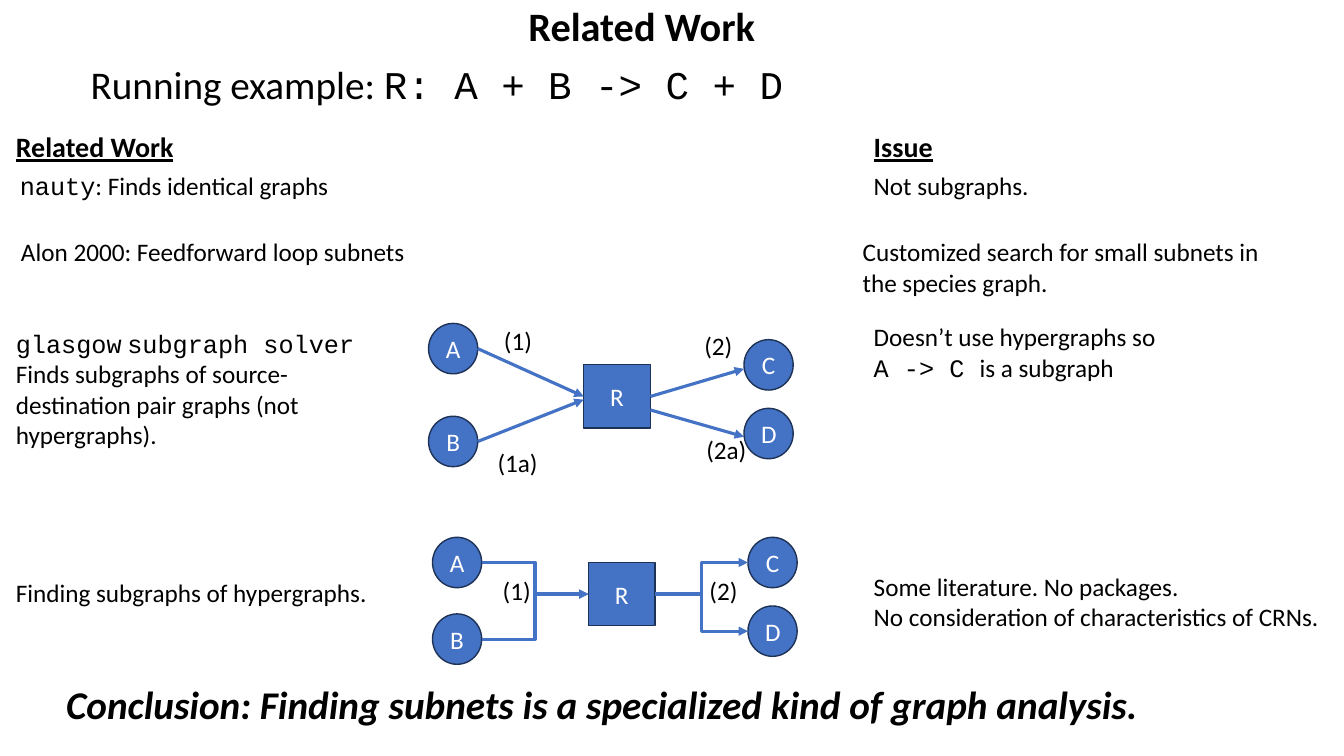
"""Build the Related Work slide on finding subnets in reaction networks."""
from dataclasses import dataclass

import lxml.etree
import pptx
import pptx.dml.color
import pptx.enum.shapes
import pptx.enum.text
import pptx.oxml.ns
import pptx.shapes.autoshape
import pptx.shapes.shapetree
import pptx.slide
import pptx.text.text
import pptx.util

Cm = pptx.util.Cm
Pt = pptx.util.Pt
qn = pptx.oxml.ns.qn
MSO_SHAPE = pptx.enum.shapes.MSO_SHAPE
MSO_CONNECTOR = pptx.enum.shapes.MSO_CONNECTOR
MSO_ANCHOR = pptx.enum.text.MSO_ANCHOR
MSO_AUTO_SIZE = pptx.enum.text.MSO_AUTO_SIZE
PP_ALIGN = pptx.enum.text.PP_ALIGN
Shape = pptx.shapes.autoshape.Shape
GroupShapes = pptx.shapes.shapetree.GroupShapes
SlideShapes = pptx.shapes.shapetree.SlideShapes

BLACK = pptx.dml.color.RGBColor(0x00, 0x00, 0x00)
WHITE = pptx.dml.color.RGBColor(0xFF, 0xFF, 0xFF)
BLUE = pptx.dml.color.RGBColor(0x44, 0x72, 0xC4)
NAVY = pptx.dml.color.RGBColor(0x1E, 0x32, 0x56)
SANS = "Calibri"
MONO = "Courier New"
CIRCLE_SIZE = (1.24, 1.27)
REACTION_SIZE = (1.68, 1.6)


@dataclass(frozen=True)
class Span:
    text: str
    font: str = SANS


@dataclass(frozen=True)
class Style:
    size: float = 18
    color: pptx.dml.color.RGBColor = BLACK
    bold: bool = False
    italic: bool = False
    underline: bool = False


@dataclass(frozen=True)
class Note:
    left: float
    top: float
    width: float
    height: float
    lines: list[list[Span]]
    style: Style = Style()
    wrap: bool = True


@dataclass(frozen=True)
class Node:
    name: str
    left: float
    top: float

    @property
    def is_reaction(self) -> bool:
        return self.name == "R"

    @property
    def size(self) -> tuple[float, float]:
        return REACTION_SIZE if self.is_reaction else CIRCLE_SIZE

    @property
    def right(self) -> float:
        return self.left + self.size[0]

    @property
    def middle(self) -> float:
        return self.top + self.size[1] / 2


@dataclass(frozen=True)
class Link:
    source: str
    target: str
    begin_shift: float = 0
    end_shift: float = 0


@dataclass(frozen=True)
class Diagram:
    connector: MSO_CONNECTOR
    nodes: list[Node]
    links: list[Link]
    labels: list[Note]


HEADING = Style(20, bold=True, underline=True)
CONCLUSION = Style(28, bold=True, italic=True)


def label(text: str, left: float, top: float, width: float = 1.22) -> Note:
    return Note(left, top, width, 1.02, [[Span(text)]], wrap=False)


NOTES = [
    Note(0.15, 3.15, 4.52, 1.12, [[Span("Related Work")]], HEADING, False),
    Note(21.77, 3.15, 2.01, 1.12, [[Span("Issue")]], HEADING, False),
    Note(0.25, 4.17, 8.38, 1.02,
         [[Span("nauty", MONO), Span(": Finds identical graphs")]], wrap=False),
    Note(21.77, 4.17, 8.46, 1.02, [[Span("Not subgraphs.")]]),
    label("Alon 2000: Feedforward loop subnets", 0.28, 5.84, 10.29),
    Note(21.49, 5.84, 11.33, 1.8,
         [[Span("Customized search for small subnets in the species graph.")]]),
    Note(0.15, 8.15, 9.22, 3.33,
         [[Span("glasgow", MONO), Span(" "), Span("subgraph solver", MONO)],
          [Span("Finds subgraphs of source-destination pair graphs (not hypergraphs).")]]),
    Note(21.77, 7.98, 8.99, 1.8,
         [[Span("Doesn’t use hypergraphs so")],
          [Span("A -> C ", MONO), Span("is a subgraph")]]),
    label("Finding subgraphs of hypergraphs.", 0.15, 14.43, 9.45),
    Note(21.77, 14.27, 11.96, 1.8,
         [[Span("Some literature. No packages.")],
          [Span("No consideration of characteristics of CRNs.")]]),
    Note(1.42, 17.02, 30.12, 1.45,
         [[Span("Conclusion: Finding subnets is a specialized kind of graph analysis.")]],
         CONCLUSION),
]

DIAGRAMS = [
    Diagram(
        MSO_CONNECTOR.STRAIGHT,
        [Node("A", 10.8, 8.15), Node("B", 10.8, 10.49), Node("C", 18.75, 8.56),
         Node("D", 18.75, 10.29), Node("R", 14.71, 9.19)],
        [Link("A", "R"), Link("B", "R", end_shift=0.08),
         Link("R", "C", end_shift=0.1), Link("R", "D", 0.34, 0.08)],
        [label("(1)", 12.45, 8.08), label("(2)", 17.5, 8.2),
         label("(1a)", 12.29, 11.15, 1.55), label("(2a)", 17.55, 10.82, 1.55)]),
    Diagram(
        MSO_CONNECTOR.ELBOW,
        [Node("A", 10.9, 13.54), Node("B", 10.9, 15.47), Node("C", 18.85, 13.54),
         Node("D", 18.85, 15.27), Node("R", 14.83, 14.17)],
        [Link("A", "R"), Link("B", "R"), Link("R", "C"), Link("R", "D")],
        [label("(1)", 12.42, 14.38), label("(2)", 17.63, 14.38)]),
]


def write_spans(paragraph: pptx.text.text._Paragraph, spans: list[Span], style: Style) -> None:
    for span in spans:
        run = paragraph.add_run()
        run.text = span.text
        run.font.name = span.font
        run.font.size = Pt(style.size)
        run.font.color.rgb = style.color
        run.font.bold = style.bold
        run.font.italic = style.italic
        run.font.underline = style.underline


def add_note(shapes: GroupShapes | SlideShapes, note: Note) -> None:
    box = shapes.add_textbox(Cm(note.left), Cm(note.top), Cm(note.width), Cm(note.height))
    frame = box.text_frame
    frame.word_wrap = note.wrap
    frame.auto_size = MSO_AUTO_SIZE.SHAPE_TO_FIT_TEXT
    for index, spans in enumerate(note.lines):
        paragraph = frame.add_paragraph() if index else frame.paragraphs[0]
        write_spans(paragraph, spans, note.style)


def add_node(shapes: GroupShapes, node: Node) -> Shape:
    kind = MSO_SHAPE.RECTANGLE if node.is_reaction else MSO_SHAPE.OVAL
    shape = shapes.add_shape(kind, Cm(node.left), Cm(node.top), *map(Cm, node.size))
    shape.shadow.inherit = False
    shape.fill.solid()
    shape.fill.fore_color.rgb = BLUE
    shape.line.color.rgb = NAVY
    shape.line.width = Pt(1)
    shape.text_frame.vertical_anchor = MSO_ANCHOR.MIDDLE
    paragraph = shape.text_frame.paragraphs[0]
    paragraph.alignment = PP_ALIGN.CENTER
    write_spans(paragraph, [Span(node.name)], Style(color=WHITE))
    return shape


def add_diagram(slide: pptx.slide.Slide, diagram: Diagram) -> None:
    shapes = slide.shapes.add_group_shape().shapes
    nodes = {node.name: node for node in diagram.nodes}
    drawn = {node.name: add_node(shapes, node) for node in diagram.nodes}
    for link in diagram.links:
        source, target = nodes[link.source], nodes[link.target]
        connector = shapes.add_connector(
            diagram.connector, Cm(source.right), Cm(source.middle + link.begin_shift),
            Cm(target.left), Cm(target.middle + link.end_shift))
        if source.is_reaction and not link.begin_shift:
            connector.begin_connect(drawn[source.name], 3)
        if target.is_reaction and not link.end_shift:
            connector.end_connect(drawn[target.name], 1)
        connector.line.color.rgb = BLUE
        connector.line.width = Pt(2.25)
        line = connector.line._get_or_add_ln()
        lxml.etree.SubElement(line, qn("a:tailEnd"), type="triangle")
        lxml.etree.SubElement(line.getparent(), qn("a:effectLst"))
    for note in diagram.labels:
        add_note(shapes, note)


def format_placeholder(shape: Shape, box: tuple[float, float, float, float],
                       anchor: MSO_ANCHOR, alignment: PP_ALIGN) -> pptx.text.text._Paragraph:
    shape.left, shape.top, shape.width, shape.height = map(Cm, box)
    shape.text_frame.auto_size = MSO_AUTO_SIZE.NONE
    shape.text_frame.vertical_anchor = anchor
    paragraph = shape.text_frame.paragraphs[0]
    paragraph.alignment = alignment
    paragraph.line_spacing = 0.9
    paragraph.space_before = Pt(0)
    return paragraph


def main() -> None:
    presentation = pptx.Presentation()
    presentation.slide_width, presentation.slide_height = Cm(33.87), Cm(19.05)
    slide = presentation.slides.add_slide(presentation.slide_layouts[1])
    title = format_placeholder(slide.shapes.title, (0.81, 0.66, 30.73, 1.32),
                               MSO_ANCHOR.MIDDLE, PP_ALIGN.CENTER)
    write_spans(title, [Span("Related Work")], Style(28.8, bold=True))
    title.add_line_break()
    for tag, parent in (("a:rPr", title._p[-1]), ("a:endParaRPr", title._p)):
        lxml.etree.SubElement(parent, qn(tag), sz="2880")
    example = format_placeholder(slide.placeholders[1], (2.03, 1.52, 28.52, 1.57),
                                 MSO_ANCHOR.TOP, PP_ALIGN.LEFT)
    properties = example._p.get_or_add_pPr()
    properties.set("marL", "0")
    properties.set("indent", "0")
    lxml.etree.SubElement(properties, qn("a:buNone"))
    write_spans(example, [Span("Running example: "), Span("R: A + B -> C + D", MONO)], Style(28))
    for diagram in DIAGRAMS:
        add_diagram(slide, diagram)
    for note in NOTES:
        add_note(slide.shapes, note)
    presentation.save("out.pptx")


if __name__ == "__main__":
    main()
